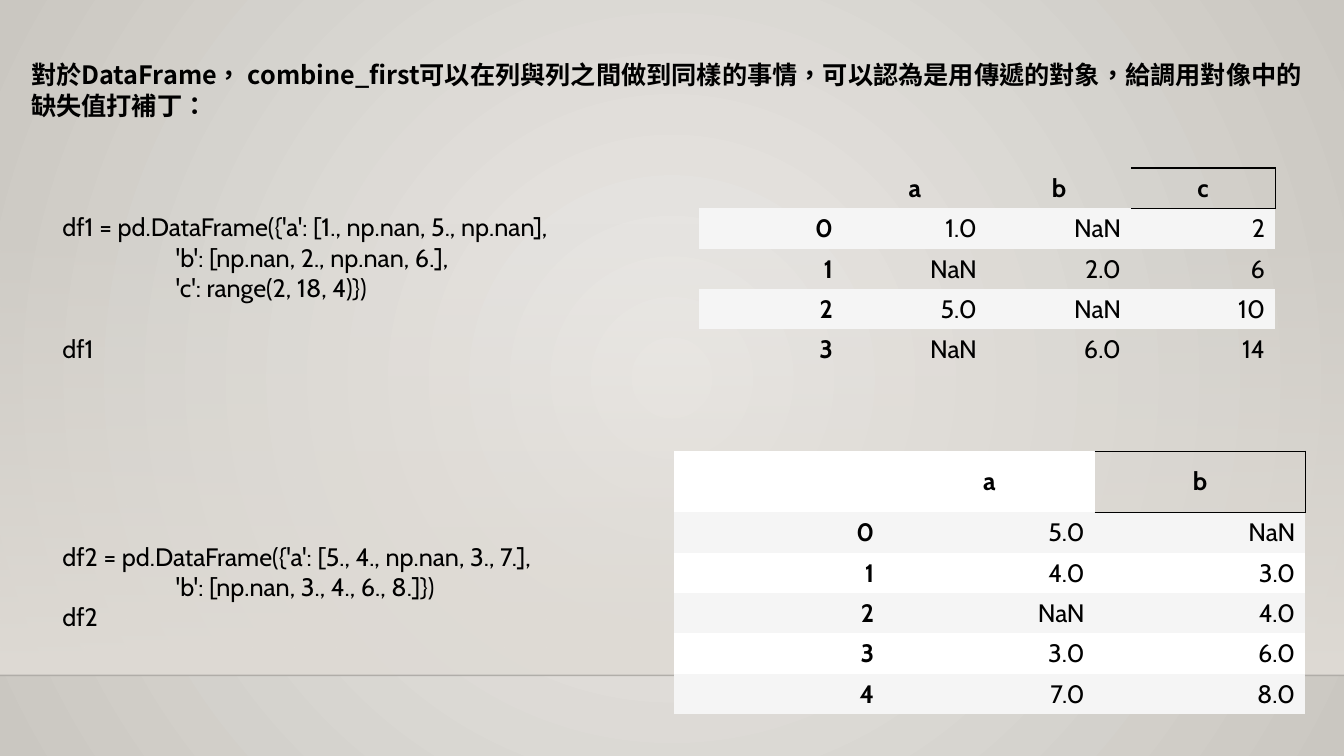
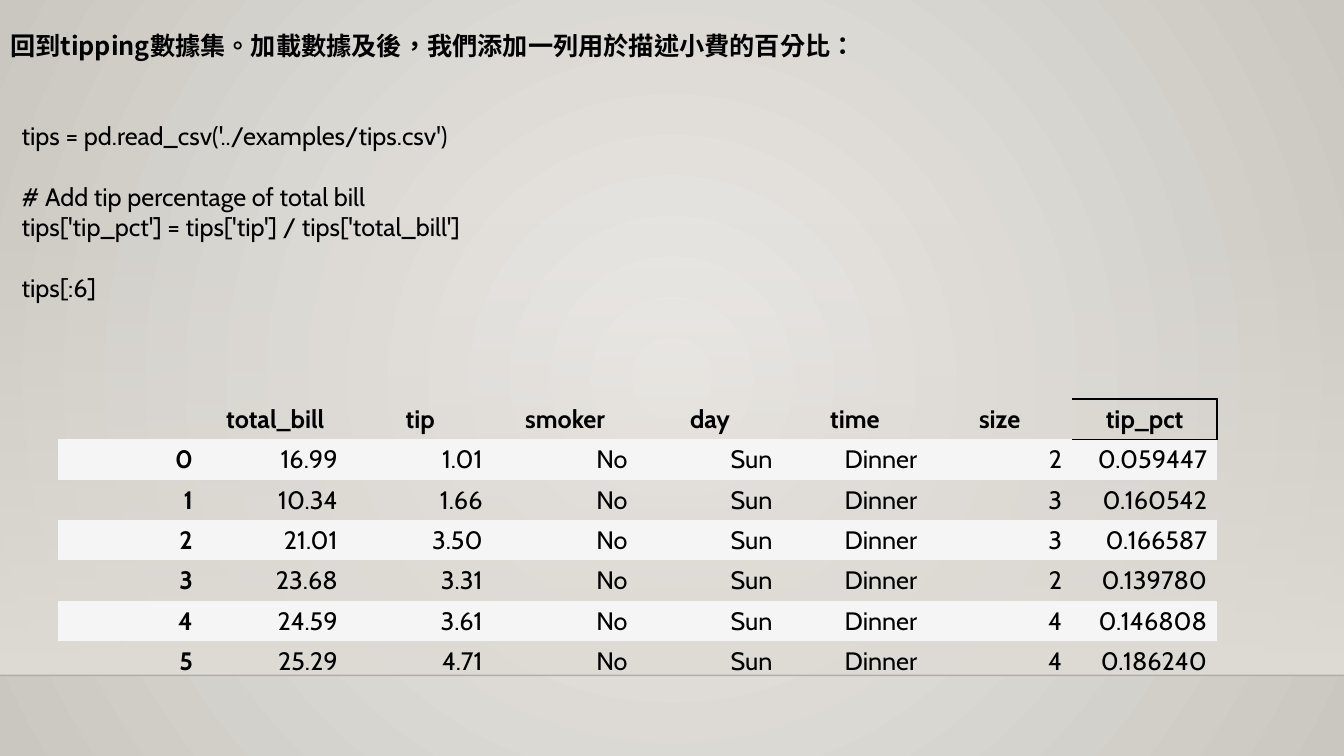
from lxml.etree import SubElement
from pptx import Presentation
from pptx.dml.color import RGBColor
from pptx.enum.shapes import MSO_CONNECTOR as Connector, MSO_SHAPE as Preset
from pptx.enum.text import MSO_ANCHOR as Anchor, MSO_AUTO_SIZE as AutoSize, PP_ALIGN as Align
from pptx.oxml import parse_xml
from pptx.oxml.ns import nsdecls, qn
from pptx.util import Emu, Inches, Pt

COLUMNS, ROWS = 160, 90
UNIT = Inches(1) // 12
BLANK_LINE = 21.9
PLAIN_TABLE = "{2D5ABB26-0587-4C30-8999-92F81FD0307C}"
CIRCLE = '<a:path path="circle"><a:fillToRect l="50000" t="50000" r="50000" b="50000"/></a:path>'
DOWNWARD = '<a:lin ang="5400000" scaled="0"/>'


def rgb(value):
    return RGBColor.from_string(value)


def grid(*lengths):
    return [Emu(round(length * UNIT)) for length in lengths]


def write(frame, text, font="Cabin", size=18, color="000000", bold=False,
          align=Align.LEFT, lang="en-US"):
    gap = 0
    paragraph = None
    for line in text.split("\n"):
        if not line:
            gap += BLANK_LINE
            continue
        paragraph = frame.add_paragraph() if paragraph else frame.paragraphs[0]
        paragraph.alignment = align
        paragraph.space_before = Pt(gap)
        gap = 0
        run = paragraph.add_run()
        run.text = line
        run.font.name, run.font.size, run.font.bold = font, Pt(size), bold
        run.font.color.rgb = rgb(color)
        properties = run.font._element
        properties.set("lang", lang)
        SubElement(properties, qn("a:ea")).set("typeface", font)


def blend(owner, stops, direction):
    marks = "".join(
        f'<a:gs pos="{place * 1000}"><a:srgbClr val="{color}">'
        f'<a:alpha val="{opacity * 1000}"/></a:srgbClr></a:gs>'
        for place, color, opacity in stops)
    flat = next(owner.iter(qn("a:solidFill")))
    flat.getparent().replace(flat, parse_xml(
        f'<a:gradFill {nsdecls("a")} rotWithShape="1">'
        f'<a:gsLst>{marks}</a:gsLst>{direction}</a:gradFill>'))


def outline(cell, sides, color="000000", width=1):
    properties = cell._tc.get_or_add_tcPr()
    for position, side in enumerate(sides):
        properties.insert(position, parse_xml(
            f'<a:ln{side} {nsdecls("a")} w="{Pt(width)}"><a:solidFill>'
            f'<a:srgbClr val="{color}"/></a:solidFill></a:ln{side}>'))


class Deck:
    heading_font = "Noto Sans CJK SC"
    stripe = "F5F5F5"
    floor = 80.4

    def __init__(self):
        self.file = Presentation()
        self.file.slide_width, self.file.slide_height = grid(COLUMNS, ROWS)
        self.layout = self.file.slide_layouts[5]
        self.slide = None

    def start(self, heading, *place):
        first = self.slide is None
        self.slide = self.file.slides.add_slide(self.layout)
        if first:
            self.backdrop()
        title = self.slide.shapes.title
        title.left, title.top, title.width, title.height = grid(*place)
        frame = title.text_frame
        frame.word_wrap, frame.auto_size = True, AutoSize.NONE
        frame.vertical_anchor = Anchor.TOP
        write(frame, heading, font=self.heading_font, bold=True, lang="zh-TW")

    def backdrop(self):
        self.layout.background.fill.solid()
        blend(self.layout.element.cSld.bg,
              [(0, "ECEAE7", 100), (100, "CAC7C1", 100)], CIRCLE)
        wall_top = 26.5
        wall = self.slide.shapes.add_shape(
            Preset.RECTANGLE, *grid(0, wall_top, COLUMNS, self.floor - wall_top))
        wall.shadow.inherit = False
        wall.line.fill.background()
        wall.fill.solid()
        blend(wall.element, [(0, "DFDBD5", 0), (100, "DFDBD5", 100)], DOWNWARD)
        edge = self.slide.shapes.add_connector(
            Connector.STRAIGHT, *grid(0, self.floor, COLUMNS, self.floor))
        edge.line.width = Pt(1)
        edge.line.color.rgb = rgb("000000")
        tint = next(edge.element.iter(qn("a:srgbClr")))
        SubElement(tint, qn("a:alpha")).set("val", "20000")
        SubElement(edge.element.spPr, qn("a:effectLst"))
        tree = self.layout.element.cSld.spTree
        for position, part in enumerate((wall, edge), start=2):
            tree.insert(position, part.element)

    def code(self, listing, *place):
        frame = self.slide.shapes.add_textbox(*grid(*place)).text_frame
        frame.word_wrap = True
        write(frame, listing)

    def data_frame(self, names, records, left, top, width,
                   header_height=4.8, row_height=4.8, base=None):
        rows = [["", *names.split()]]
        rows += [[str(index), *record.split()] for index, record in enumerate(records)]
        height = header_height + row_height * len(records)
        table = self.slide.shapes.add_table(
            len(rows), len(rows[0]), *grid(left, top, width, height)).table
        table.first_row = table.horz_banding = False
        table._tbl.tblPr.find(qn("a:tableStyleId")).text = PLAIN_TABLE
        for r, values in enumerate(rows):
            table.rows[r].height = grid(row_height if r else header_height)[0]
            for c, value in enumerate(values):
                cell = table.cell(r, c)
                last_name = r == 0 and c == len(values) - 1
                shade = None if last_name else self.stripe if r % 2 else base
                if shade:
                    cell.fill.solid()
                    cell.fill.fore_color.rgb = rgb(shade)
                else:
                    cell.fill.background()
                if last_name:
                    outline(cell, "RTB")
                cell.vertical_anchor = Anchor.MIDDLE
                write(cell.text_frame, value, bold=r == 0 or c == 0,
                      align=Align.RIGHT if r else Align.CENTER)


def combine_first(deck):
    deck.start("對於DataFrame， combine_first可以在列與列之間做到同樣的事情，"
               "可以認為是用傳遞的對象，給調用對像中的缺失值打補丁：",
               2.5, 6.5, 155.5, 8.5)
    deck.code("""df1 = pd.DataFrame({'a': [1., np.nan, 5., np.nan],
                    'b': [np.nan, 2., np.nan, 6.],
                    'c': range(2, 18, 4)})

df1""", 6.25, 24.6, 80, 19.4)
    deck.data_frame("a b c", ["1.0 NaN 2", "NaN 2.0 6", "5.0 NaN 10", "NaN 6.0 14"],
                    83.2, 20, 68.6)
    deck.code("""df2 = pd.DataFrame({'a': [5., 4., np.nan, 3., 7.],
                    'b': [np.nan, 3., 4., 6., 8.]})
df2""", 6.25, 63.8, 80, 12.1)
    deck.data_frame("a b", ["5.0 NaN", "4.0 3.0", "NaN 4.0", "3.0 6.0", "7.0 8.0"],
                    80.2, 53.7, 75.2, header_height=7.3, base="FFFFFF")


def tipping(deck):
    deck.start("回到tipping數據集。加載數據及後，我們添加一列用於描述小費的百分比：",
               0, 3, 112.4, 4.8)
    deck.code("""tips = pd.read_csv('../examples/tips.csv')

# Add tip percentage of total bill
tips['tip_pct'] = tips['tip'] / tips['total_bill']

tips[:6]""", 1.4, 13.7, 80, 23)
    deck.data_frame("total_bill tip smoker day time size tip_pct", [
        "16.99 1.01 No Sun Dinner 2 0.059447",
        "10.34 1.66 No Sun Dinner 3 0.160542",
        "21.01 3.50 No Sun Dinner 3 0.166587",
        "23.68 3.31 No Sun Dinner 2 0.139780",
        "24.59 3.61 No Sun Dinner 4 0.146808",
        "25.29 4.71 No Sun Dinner 4 0.186240",
    ], 6.9, 47.5, 138)


def main():
    deck = Deck()
    combine_first(deck)
    tipping(deck)
    deck.file.save("out.pptx")


if __name__ == "__main__":
    main()
